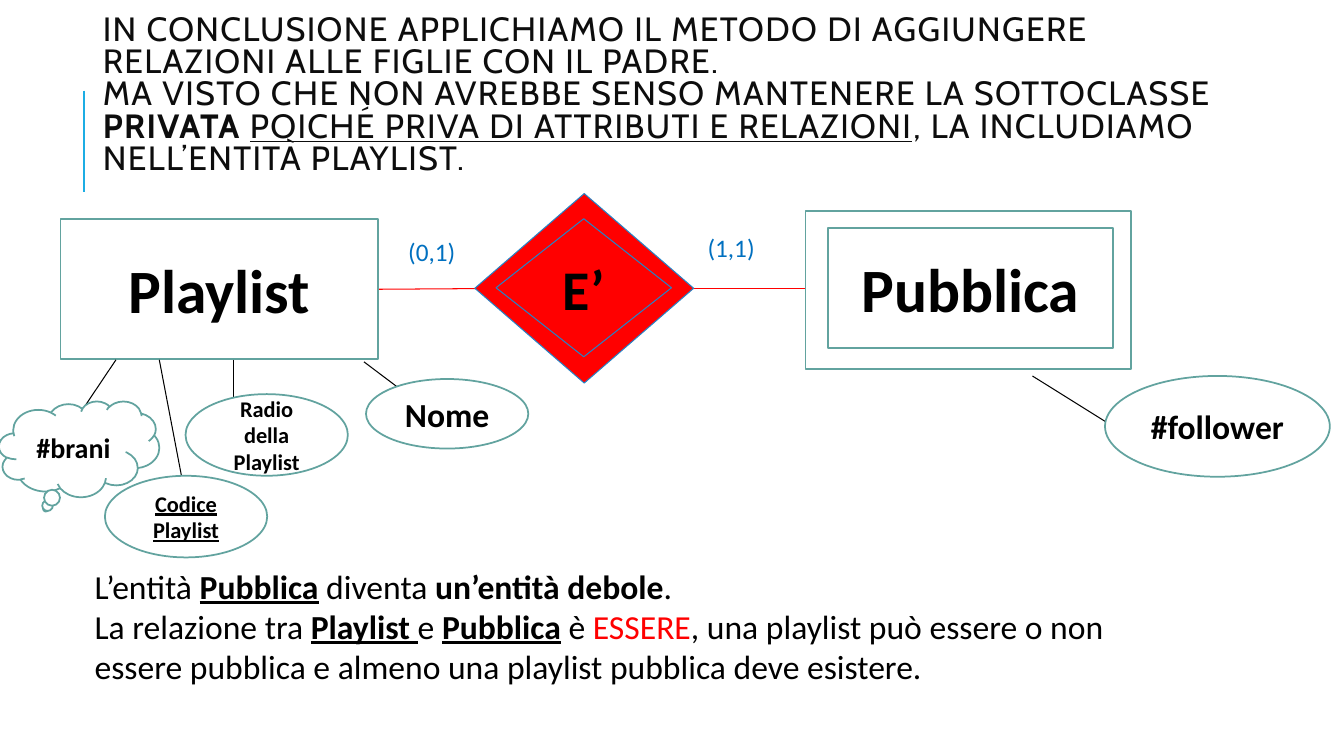
from dataclasses import dataclass
from lxml.etree import SubElement
from pptx import Presentation
from pptx.dml.color import RGBColor
from pptx.enum.shapes import MSO_CONNECTOR, MSO_SHAPE
from pptx.enum.text import MSO_ANCHOR, MSO_AUTO_SIZE, PP_ALIGN
from pptx.oxml.ns import qn
from pptx.util import Emu, Pt

PX = 9144  # 100 px to the inch


@dataclass(frozen=True)
class Theme:
    black: str = "000000"
    title_ink: str = "0D0D0D"
    white: str = "FFFFFF"
    red: str = "FF0000"
    teal: str = "62A39F"
    blue: str = "2683C6"
    label_blue: str = "0070C0"
    accent: str = "1CADE4"
    title_font: str = "Cabin"
    body_font: str = "Calibri"
    entity_size: int = 44
    relation_size: int = 40
    text_size: int = 24
    label_size: int = 18
    thin: float = 0.75
    outline: float = 1.25
    rule: float = 1.5


THEME = Theme()


@dataclass(frozen=True)
class Box:
    left: int
    top: int
    width: int
    height: int

    def inside(self, left, top, width, height):
        return Box(self.left + left, self.top + top, width, height)

    def emu(self):
        return [Emu(n * PX) for n in (self.left, self.top, self.width, self.height)]


def add_span(para, text, size, color=THEME.black, font=THEME.body_font, bold=False, underline=False):
    span = para.add_run()
    span.text = text
    span.font.name, span.font.size = font, Pt(size)
    span.font.bold, span.font.underline = bold, underline
    span.font.color.rgb = RGBColor.from_string(color)
    return span


def add_line(page, box, start, end, color, width=THEME.thin):
    """Join two points given relative to the box."""
    points = [Emu(n * PX) for x, y in (start, end) for n in (box.left + x, box.top + y)]
    line = page.shapes.add_connector(MSO_CONNECTOR.STRAIGHT, *points)
    line.line.color.rgb = RGBColor.from_string(color)
    line.line.width = Pt(width)
    properties = line.element.find(qn("p:spPr"))
    SubElement(properties, qn("a:effectLst"))


def add_figure(page, kind, box, fill, outline, width, text="", size=0, underline=False):
    figure = page.shapes.add_shape(kind, *box.emu())
    figure.shadow.inherit = False
    figure.fill.solid()
    figure.fill.fore_color.rgb = RGBColor.from_string(fill)
    figure.line.color.rgb = RGBColor.from_string(outline)
    figure.line.width = Pt(width)
    if text:
        frame = figure.text_frame
        frame.word_wrap = True
        frame.vertical_anchor = MSO_ANCHOR.MIDDLE
        para = frame.paragraphs[0]
        para.alignment = PP_ALIGN.CENTER
        add_span(para, text, size, bold=True, underline=underline)


def add_text_frame(page, box):
    frame = page.shapes.add_textbox(*box.emu()).text_frame
    frame.word_wrap = True
    return frame


def draw_title(page, box):
    add_line(page, box, (-9, 67), (-9, 167), THEME.accent, THEME.rule)
    title = page.shapes.title
    title.left, title.top, title.width, title.height = box.emu()
    frame = title.text_frame
    frame.auto_size = MSO_AUTO_SIZE.NONE
    frame.word_wrap = True
    frame.vertical_anchor = MSO_ANCHOR.MIDDLE
    para = frame.paragraphs[0]
    para.alignment = PP_ALIGN.LEFT
    para.line_spacing = 0.8

    def spaced(text, **style):
        span = add_span(para, text, THEME.text_size, THEME.title_ink, THEME.title_font, **style)
        span.font._element.set("spc", "100")

    spaced("IN CONCLUSIONE APPLICHIAMO IL METODO DI AGGIUNGERE RELAZIONI ALLE FIGLIE CON IL PADRE.")
    para.add_line_break()
    spaced("MA VISTO CHE NON AVREBBE SENSO MANTENERE LA SOTTOCLASSE ")
    spaced("PRIVATA ", bold=True)
    spaced("POICHÉ PRIVA DI ATTRIBUTI E RELAZIONI", underline=True)
    spaced(", LA INCLUDIAMO NELL’ENTITÀ PLAYLIST.")


def draw_relation(page, box):
    # Links to the two entities
    add_line(page, box, (-96, 95), (51, 94), THEME.red)
    add_line(page, box, (198, 94), (328, 94), THEME.red)
    # Double diamond
    inner = box.inside(21, 25, 174, 137)
    for diamond, text in ((box, ""), (inner, "E’")):
        add_figure(page, MSO_SHAPE.DIAMOND, diamond, THEME.red, THEME.blue, THEME.thin,
                   text, THEME.relation_size)
    # Cardinalities
    for text, left, top in (("(0,1)", -76, 38), ("(1,1)", 221, 34)):
        frame = add_text_frame(page, box.inside(left, top, 73, 40))
        add_span(frame.paragraphs[0], text, THEME.label_size, THEME.label_blue)


def draw_entity(page, box, name, attributes, weak=False):
    """Draw an entity; links and attribute areas are relative to its box."""
    frames = [box, box.inside(22, 17, 283, 119)] if weak else [box]
    for frame in frames:
        add_figure(page, MSO_SHAPE.RECTANGLE, frame, THEME.white, THEME.teal, THEME.outline,
                   name if frame is frames[-1] else "", THEME.entity_size)
    for text, size, kind, start, end, area, is_key in attributes:
        add_line(page, box, start, end, THEME.black)
        add_figure(page, kind, box.inside(*area), THEME.white, THEME.teal, THEME.outline,
                   text, size, is_key)


def draw_explanation(page, box):
    red = {"color": THEME.red}
    bold = {"bold": True}
    entity = {"bold": True, "underline": True}
    lines = [
        [("L’entità ", {}), ("Pubblica", entity), (" diventa ", {}),
         ("un’entità debole", bold), (".", {})],
        [("La relazione tra ", {}), ("Playlist ", entity), ("e ", {}), ("Pubblica", entity),
         (" è ", {}), ("ESSERE", red),
         (", una playlist può essere o non essere pubblica e almeno una playlist "
          "pubblica deve esistere.", {})],
    ]
    frame = add_text_frame(page, box)
    for index, spans in enumerate(lines):
        para = frame.add_paragraph() if index else frame.paragraphs[0]
        for text, style in spans:
            add_span(para, text, THEME.text_size, **style)


def main():
    deck = Presentation()
    deck.slide_width, deck.slide_height = Emu(1333 * PX), Emu(750 * PX)
    page = deck.slides.add_slide(deck.slide_layouts[5])
    oval, cloud = MSO_SHAPE.OVAL, MSO_SHAPE.CLOUD_CALLOUT

    draw_title(page, Box(92, 23, 1150, 145))
    draw_relation(page, Box(471, 192, 217, 188))
    # Text, size, shape, link start, link end, area, key
    draw_entity(page, Box(60, 217, 315, 139), "Playlist", [
        ("Nome", 24, oval, (301, 142), (386, 206), (303, 159, 161, 69), False),
        ("Radio della Playlist", 16, oval, (172, 140), (172, 235), (124, 174, 161, 81), False),
        ("#brani", 20, cloud, (55, 140), (0, 222), (-61, 181, 159, 95), False),
        ("Codice Playlist", 16, oval, (98, 140), (124, 276), (44, 255, 161, 81), True),
    ])
    draw_entity(page, Box(799, 209, 323, 157), "Pubblica", [
        ("#follower", 24, oval, (225, 164), (297, 209), (297, 164, 223, 100), False),
    ], weak=True)
    draw_explanation(page, Box(84, 556, 1090, 131))
    deck.save("out.pptx")


if __name__ == "__main__":
    main()
